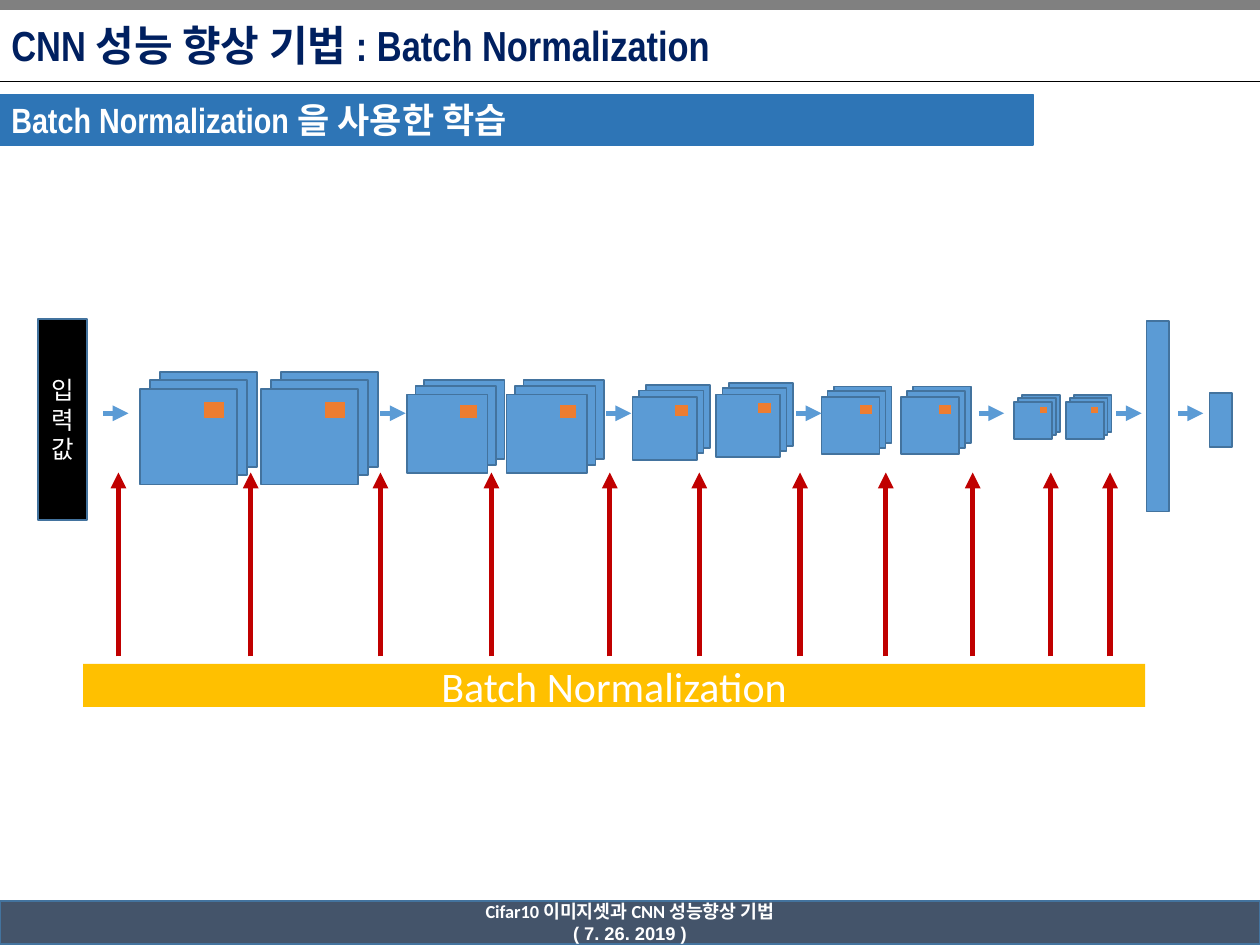
"""Build the slide on training a CNN with batch normalization."""
from lxml import etree
from pptx import Presentation, util as u
from pptx.dml.color import RGBColor
from pptx.enum import shapes, text
from pptx.oxml import ns

TITLE = "CNN 성능 향상 기법 : Batch Normalization"
SUBTITLE = "Batch Normalization 을 사용한 학습"
FOOTER = [("Cifar10 이미지셋과 CNN 성능향상 기법", "Calibri"), ("( 7. 26. 2019 )", "Arial")]
NORMALIZER = "Batch Normalization"
INPUT = "입력값"

BLUE, EDGE, ORANGE, RED, WHITE = "5B9BD5", "43739E", "ED7D31", "C00000", "FFFFFF"

FEATURE_MAPS = [
    (1.11, 3.09, 0.77), (2.07, 3.09, 0.77),
    (3.23, 3.13, 0.64), (4.02, 3.13, 0.64),
    (5.02, 3.15, 0.51), (5.68, 3.13, 0.51),
    (6.52, 3.15, 0.46), (7.15, 3.15, 0.46),
    (8.05, 3.19, 0.3), (8.46, 3.19, 0.3),
]
MAP_HEIGHT = 0.98
LAYER_SHIFTS = [(0.21, -0.18), (0.105, -0.1), (0, 0)]
KERNEL = (0.65, 0.12, 0.23, 0.19)
DENSE_LAYERS = [(9.1, 2.55, 0.18, 1.51), (9.6, 3.12, 0.18, 0.43)]
FLOW_STARTS = [0.82, 3.02, 4.81, 6.32, 7.77, 8.86, 9.35]
FLOW_Y, FLOW_LENGTH = 3.28, 0.2
NORM_XS = [0.94, 1.99, 3.02, 3.9, 4.84, 5.55, 6.35, 7.03, 7.72, 8.34, 8.81]
NORM_BOTTOM, NORM_TOP = 5.21, 3.75


def color(value):
    return RGBColor.from_string(value)


def add_box(slide, place, fill, edge=None):
    box = slide.shapes.add_shape(shapes.MSO_SHAPE.RECTANGLE, *map(u.Inches, place))
    box.shadow.inherit = False
    box.fill.solid()
    box.fill.fore_color.rgb = color(fill)
    if edge:
        box.line.color.rgb = color(edge)
        box.line.width = u.Pt(1)
    else:
        box.line.fill.background()
    return box


def add_line(slide, start, end, stroke, width, arrow=True):
    line = slide.shapes.add_connector(
        shapes.MSO_CONNECTOR.STRAIGHT, *map(u.Inches, (*start, *end)))
    line.line.color.rgb = color(stroke)
    line.line.width = u.Pt(width)
    if arrow:
        etree.SubElement(line.line._get_or_add_ln(), ns.qn("a:tailEnd"), type="triangle")
    etree.SubElement(line._element.spPr, ns.qn("a:effectLst"))


def write(shape, lines, size, ink=WHITE, bold=False, align=text.PP_ALIGN.CENTER):
    frame = shape.text_frame
    frame.word_wrap = True
    frame.auto_size = text.MSO_AUTO_SIZE.NONE
    frame.vertical_anchor = text.MSO_ANCHOR.MIDDLE
    frame.text = "\n".join(line for line, _ in lines)
    for paragraph, (_, face) in zip(frame.paragraphs, lines):
        paragraph.alignment = align
        paragraph.font.name = face
        paragraph.font.size = u.Pt(size)
        paragraph.font.bold = bold
        paragraph.font.color.rgb = color(ink)


def write_heading(shape, words, size, ink):
    write(shape, [(words, "Arial Narrow")], size, ink, True, text.PP_ALIGN.LEFT)
    frame = shape.text_frame
    frame.margin_left = frame.margin_right = u.Inches(0.09)
    frame.margin_top = frame.margin_bottom = u.Inches(0.04)


def add_feature_map(slide, left, top, width):
    for dx, dy in LAYER_SHIFTS:
        place = (left + dx * width, top + dy * width, width, MAP_HEIGHT * width)
        add_box(slide, place, BLUE, EDGE)
    dx, dy, kernel_width, kernel_height = (part * width for part in KERNEL)
    add_box(slide, (left + dx, top + dy, kernel_width, kernel_height), ORANGE, BLUE)


def main():
    deck = Presentation()
    deck.slide_width, deck.slide_height = u.Inches(10), u.Inches(7.5)
    slide = deck.slides.add_slide(deck.slide_layouts[5])

    add_box(slide, (0, 0, 10, 0.07), "808080", "808080")
    add_line(slide, (0, 0.65), (10, 0.65), "000000", 0.5, arrow=False)
    footer = add_box(slide, (0, 7.15, 10, 0.34), "44546A", EDGE)
    write(footer, FOOTER, 10.5, bold=True)

    title = slide.shapes.title
    title.left, title.top, title.width, title.height = map(u.Inches, (0, 0.03, 7.81, 0.65))
    write_heading(title, TITLE, 24, "002060")
    subtitle = add_box(slide, (0, 0.75, 8.2, 0.4), "2E75B6", "2E75B6")
    write_heading(subtitle, SUBTITLE, 20, WHITE)

    normalizer = add_box(slide, (0.66, 5.27, 8.43, 0.34), "FFC000")
    write(normalizer, [(NORMALIZER, "Calibri")], 24)
    for x in NORM_XS:
        add_line(slide, (x, NORM_BOTTOM), (x, NORM_TOP), RED, 3)

    for feature_map in FEATURE_MAPS:
        add_feature_map(slide, *feature_map)
    for dense_layer in DENSE_LAYERS:
        add_box(slide, dense_layer, BLUE, EDGE)
    for x in FLOW_STARTS:
        add_line(slide, (x, FLOW_Y), (x + FLOW_LENGTH, FLOW_Y), BLUE, 3)
    input_box = add_box(slide, (0.3, 2.53, 0.39, 1.6), "000000", EDGE)
    write(input_box, [(INPUT, "Calibri")], 14)

    deck.save("out.pptx")


if __name__ == "__main__":
    main()
